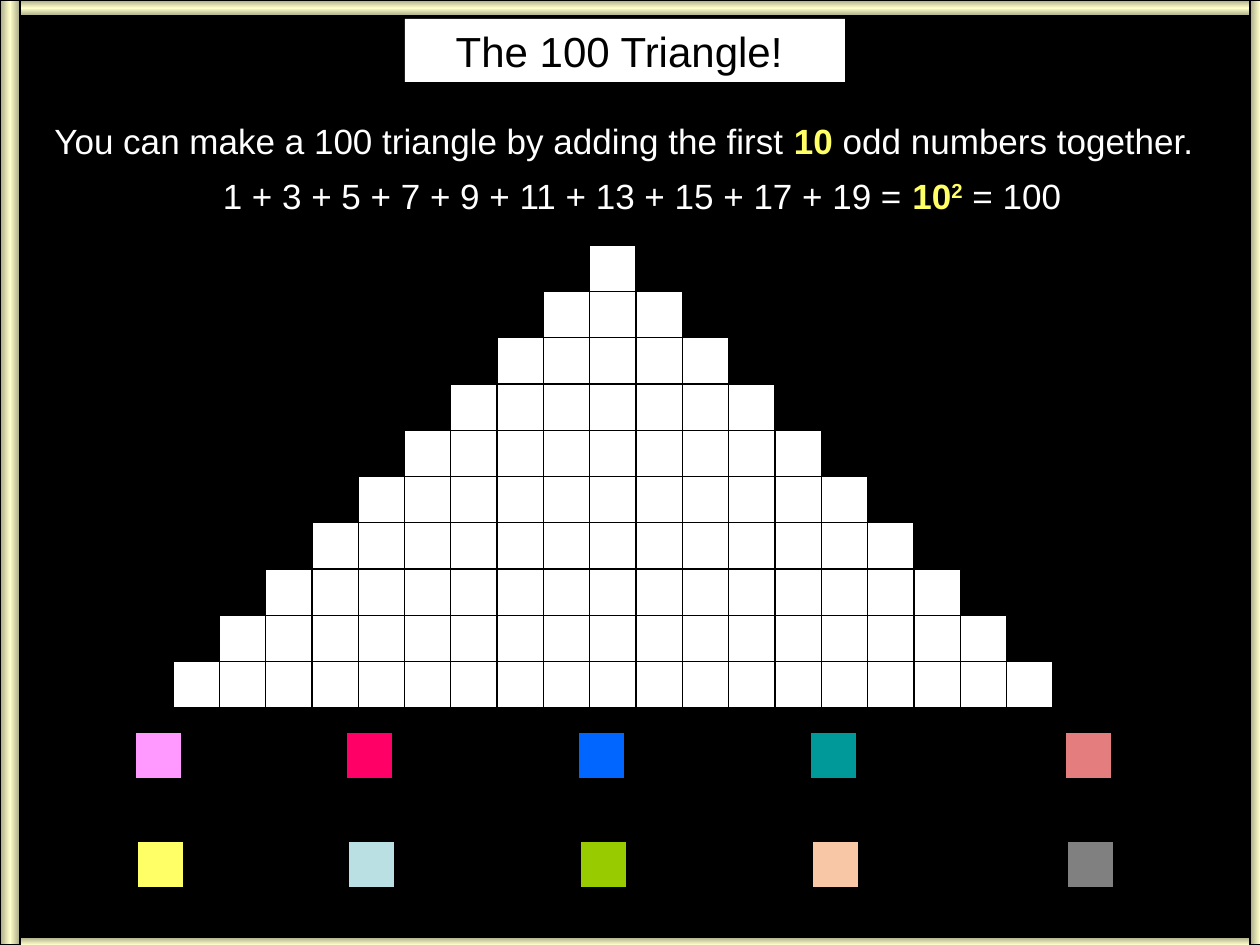
from copy import deepcopy

from pptx import Presentation
from pptx import util as u
from pptx.dml.color import RGBColor
from pptx.enum import shapes, text
from pptx.oxml.ns import qn

PX = 914400 / 126
BLACK = RGBColor(0x00, 0x00, 0x00)
WHITE = RGBColor(0xFF, 0xFF, 0xFF)
YELLOW = RGBColor(0xFF, 0xFF, 0x66)
FRAME_EDGE = RGBColor(0xA8, 0xA8, 0x86)
FRAME_MIDDLE = RGBColor(0xFF, 0xFF, 0xCC)
PINK = RGBColor(0xFF, 0x99, 0xFF)
CRIMSON = RGBColor(0xFF, 0x00, 0x66)
BLUE = RGBColor(0x00, 0x66, 0xFF)
TEAL = RGBColor(0x00, 0x99, 0x99)
CORAL = RGBColor(0xE4, 0x7E, 0x7E)
PALE_BLUE = RGBColor(0xBB, 0xE0, 0xE3)
GREEN = RGBColor(0x99, 0xCC, 0x00)
PEACH = RGBColor(0xF8, 0xC7, 0xA6)
GREY = RGBColor(0x80, 0x80, 0x80)

ROWS = 10
BASE_LEFT, BASE_WIDTH, APEX_TOP = 173, 880, 245
CELL = BASE_WIDTH / (2 * ROWS - 1)

prs = Presentation()
prs.slide_width, prs.slide_height = u.Inches(10), u.Inches(7.5)
slide = prs.slides.add_slide(prs.slide_layouts[5])
slide.background.fill.solid()
slide.background.fill.fore_color.rgb = BLACK


def add_block(left, top, width, height, color=None):
    """Add a black-edged rectangle, filled if a colour is given."""
    block = slide.shapes.add_shape(
        shapes.MSO_SHAPE.RECTANGLE, *(round(v * PX) for v in (left, top, width, height)))
    block.shadow.inherit = False
    block.line.color.rgb = BLACK
    block.line.width = u.Pt(0.75)
    if color is not None:
        block.fill.solid()
        block.fill.fore_color.rgb = color
    return block


def write_line(box, size, align, parts):
    """Write one paragraph from (words, colour, bold, baseline) parts."""
    frame = box.text_frame
    frame.word_wrap = True
    frame.auto_size = text.MSO_AUTO_SIZE.NONE
    frame.vertical_anchor = text.MSO_ANCHOR.TOP
    paragraph = frame.paragraphs[0]
    paragraph.alignment = align
    for words, color, bold, baseline in parts:
        run = paragraph.add_run()
        run.text = words
        run.font.name = "Arial"
        run.font.size = u.Pt(size)
        run.font.bold = bold
        run.font.color.rgb = color
        if baseline:
            run.font._element.set("baseline", str(baseline))


# Title
title = slide.shapes.title
title.left, title.top, title.width, title.height = (
    round(v * PX) for v in (405, 19, 440, 63))
title.fill.solid()
title.fill.fore_color.rgb = WHITE
write_line(title, 24, text.PP_ALIGN.CENTER, [("The 100 Triangle! ", BLACK, False, 0)])

# Triangle of odd-numbered rows
for row in range(ROWS):
    for column in range(2 * row + 1):
        left = BASE_LEFT + (ROWS - 1 - row + column) * CELL
        add_block(left, APEX_TOP + row * CELL, CELL, CELL, WHITE)

# Explanation and sum
statements = [
    ((42, 113, 1252, 55), text.PP_ALIGN.LEFT, [
        ("You can make a 100 triangle by adding the first ", WHITE, False, 0),
        ("10 ", YELLOW, True, 0),
        ("odd numbers together.", WHITE, False, 0)]),
    ((173, 168, 938, 55), text.PP_ALIGN.CENTER, [
        ("1 + 3 + 5 + 7 + 9 + 11 + 13 + 15 + 17 + 19 = ", WHITE, False, 0),
        ("10", YELLOW, True, 0),
        ("2", YELLOW, True, 30000),
        (" = 100", WHITE, False, 0)]),
]
for bounds, align, parts in statements:
    statement = slide.shapes.add_textbox(*(round(v * PX) for v in bounds))
    write_line(statement, 20, align, parts)

# Colour swatches
swatch_lefts = [135, 346, 578, 810, 1065]
swatch_rows = [
    (0, 732, [PINK, CRIMSON, BLUE, TEAL, CORAL]),
    (2, 841, [YELLOW, PALE_BLUE, GREEN, PEACH, GREY]),
]
for shift, top, colors in swatch_rows:
    for left, color in zip(swatch_lefts, colors):
        add_block(left + shift, top, CELL, CELL, color)

# Frame bars, shaded across their thickness
frame_bars = [
    ((0, 0, 1260, 16), 90),
    ((0, 937, 1260, 16), 90),
    ((0, 0, 20, 945), 0),
    ((1250, 0, 20, 945), 0),
]
for bounds, angle in frame_bars:
    bar = add_block(*bounds)
    bar.fill.gradient()
    bar.fill.gradient_angle = angle
    stop_list = bar._element.spPr.find(qn("a:gradFill")).find(qn("a:gsLst"))
    stop_list.append(deepcopy(stop_list[0]))
    shades = [(0, FRAME_EDGE), (0.5, FRAME_MIDDLE), (1, FRAME_EDGE)]
    for stop, (position, color) in zip(bar.fill.gradient_stops, shades):
        stop.position = position
        stop.color.rgb = color

prs.save("out.pptx")
